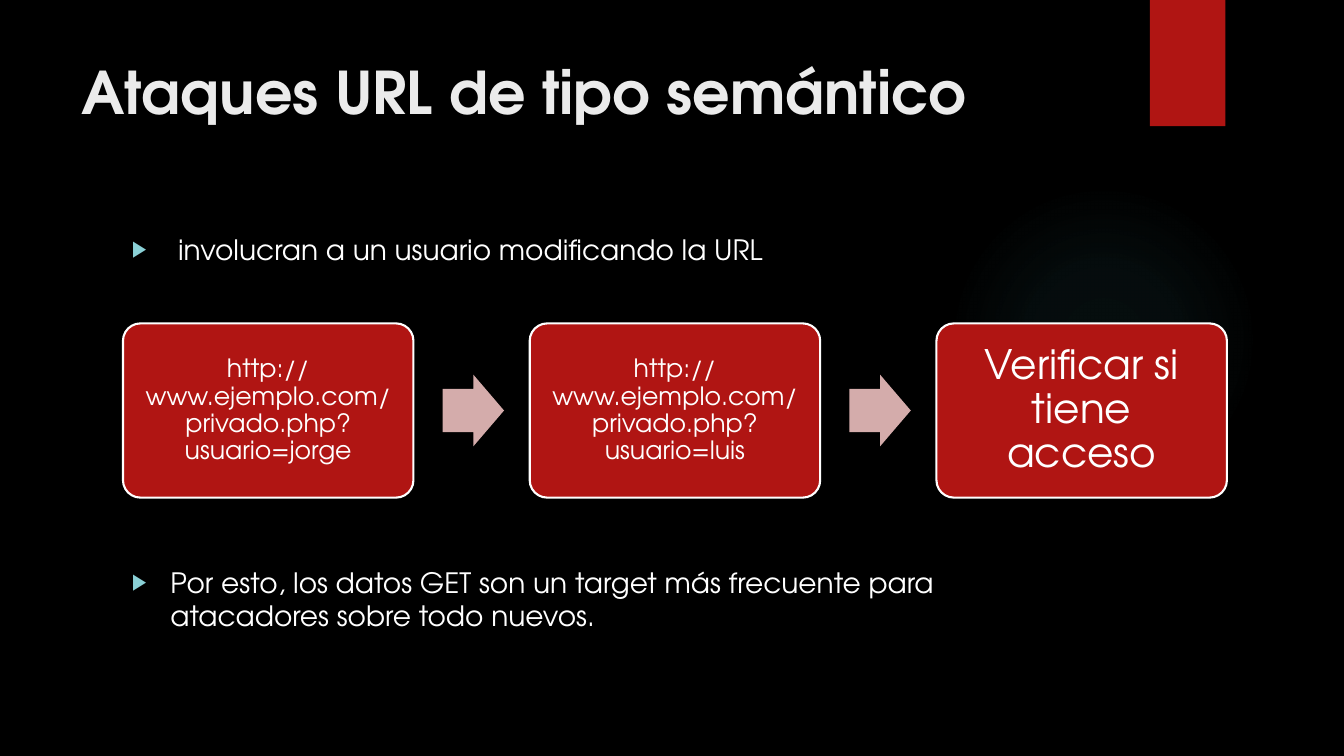
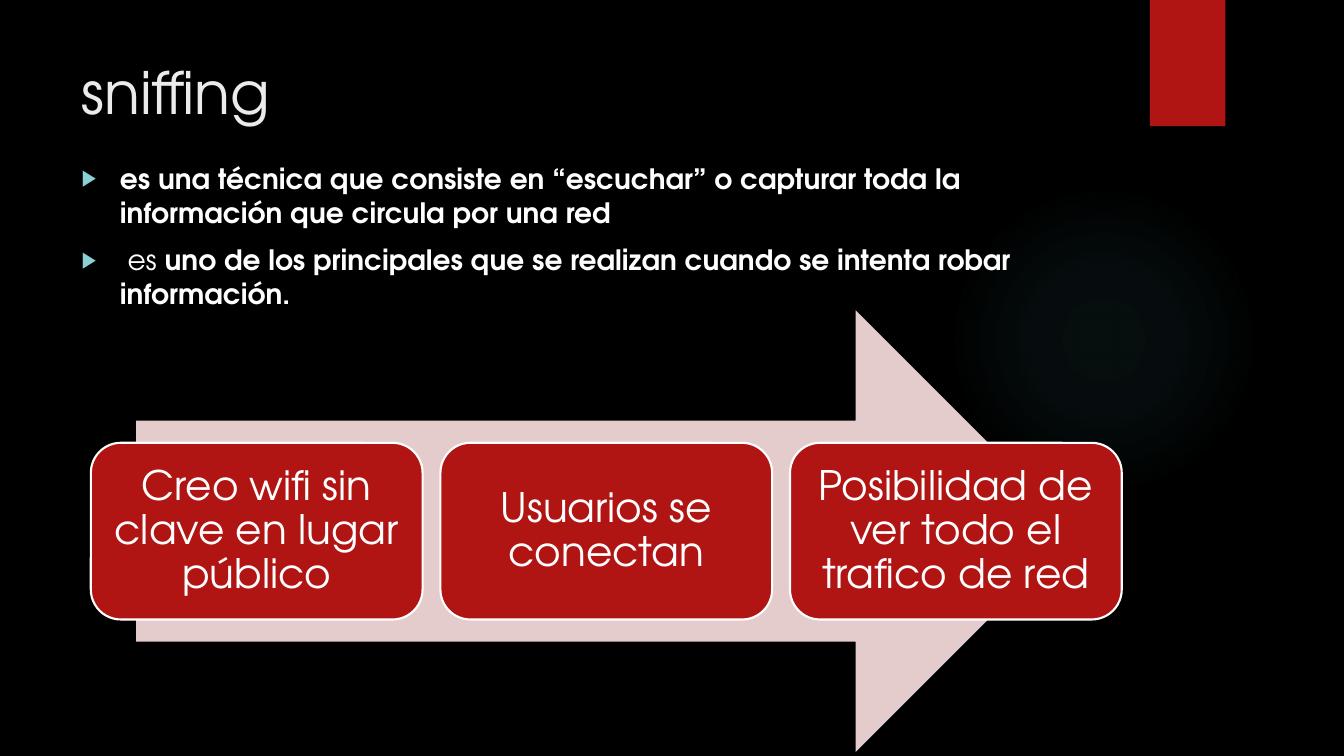
import pptx
import pptx.util
import pptx.dml.color
import pptx.enum.shapes
import pptx.enum.text
import pptx.oxml
import pptx.oxml.ns

Cm = pptx.util.Cm
Pt = pptx.util.Pt
SHAPE = pptx.enum.shapes.MSO_SHAPE
ALIGN = pptx.enum.text.PP_ALIGN
ANCHOR = pptx.enum.text.MSO_ANCHOR

COLORS = {
    "background": "000000",
    "accent": "B01513",
    "title": "EBEBEB",
    "text": "FFFFFF",
    "bullet": "8AD0D6",
    "glow": "50B9C1",
    "step_arrow": "D4ACAB",
    "big_arrow": "E4CCCC",
}
FONT = "TeX Gyre Adventor"
TITLE_BOX = (1.8, 1.27, 26.14, 3.89)
BODY_SIZE = (24.84, 11.66)
GLOW_STOPS = ((0, 7), (36, 6), (69, 0))
INDENT = Cm(0.97)


def rgb(name):
    return pptx.dml.color.RGBColor.from_string(COLORS[name])


def apply_format(target, values):
    for name, value in values.items():
        setattr(target, name, value)


def place(shape, box):
    sides = ("left", "top", "width", "height")
    apply_format(shape, {side: Cm(value) for side, value in zip(sides, box)})


def add_span(para, text, size, color="text", bold=False):
    span = para.add_run()
    span.text = text
    apply_format(span.font, {"name": FONT, "size": Pt(size), "bold": bold})
    span.font.color.rgb = rgb(color)


def add_filled(page, kind, box, color, line=None):
    shape = page.shapes.add_shape(kind, *map(Cm, box))
    shape.shadow.inherit = False
    shape.fill.solid()
    shape.fill.fore_color.rgb = rgb(color)
    if line:
        shape.line.color.rgb = rgb(line)
        shape.line.width = Pt(1.5)
    else:
        shape.line.fill.background()
    return shape


def fill_glow(shape):
    """Replace the solid fill by a faint radial gradient."""
    stops = "".join(
        f'<a:gs pos="{pos * 1000}"><a:srgbClr val="{COLORS["glow"]}">'
        f'<a:alpha val="{alpha * 1000}"/></a:srgbClr></a:gs>'
        for pos, alpha in GLOW_STOPS)
    gradient = pptx.oxml.parse_xml(
        f'<a:gradFill {pptx.oxml.ns.nsdecls("a")} rotWithShape="1">'
        f'<a:gsLst>{stops}</a:gsLst><a:path path="circle">'
        '<a:fillToRect l="50000" t="50000" r="50000" b="50000"/>'
        '</a:path></a:gradFill>')
    solid = shape.element.spPr.find(pptx.oxml.ns.qn("a:solidFill"))
    shape.element.spPr.replace(solid, gradient)


def add_decor(page):
    """Draw the glow and the ribbon behind the content."""
    fill_glow(add_filled(page, SHAPE.OVAL, (23.9, 4.65, 7.82, 7.82), "glow"))
    add_filled(page, SHAPE.RECTANGLE, (28.98, 0, 1.9, 3.18), "accent")


def add_title(page, text, bold):
    title = page.shapes.title
    place(title, TITLE_BOX)
    frame = title.text_frame
    apply_format(frame, {"vertical_anchor": ANCHOR.TOP, "word_wrap": True,
                         "auto_size": pptx.enum.text.MSO_AUTO_SIZE.NONE})
    para = frame.paragraphs[0]
    para.alignment = ALIGN.LEFT
    add_span(para, text, 42, "title", bold)


def add_bullet(para):
    props = para._p.get_or_add_pPr()
    props.set("marL", str(INDENT))
    props.set("indent", str(-INDENT))
    namespace = pptx.oxml.ns.nsdecls("a")
    for markup in (
            f'<a:buClr {namespace}><a:srgbClr val="{COLORS["bullet"]}"/></a:buClr>',
            f'<a:buSzPct {namespace} val="80000"/>',
            f'<a:buFont {namespace} typeface="Arial"/>',
            f'<a:buChar {namespace} char="▶"/>'):
        props.append(pptx.oxml.parse_xml(markup))


def add_list(page, left, top, items, gap=10):
    """Fill the body; each item is a list of (text, bold) spans."""
    body = page.placeholders[1]
    place(body, (left, top, *BODY_SIZE))
    frame = body.text_frame
    apply_format(frame, {"vertical_anchor": ANCHOR.TOP, "word_wrap": True,
                         "auto_size": pptx.enum.text.MSO_AUTO_SIZE.NONE})
    for index, spans in enumerate(items):
        para = frame.add_paragraph() if index else frame.paragraphs[0]
        apply_format(para, {"alignment": ALIGN.LEFT,
                            "space_before": Pt(gap if index else 10)})
        add_bullet(para)
        for text, bold in spans:
            add_span(para, text, 20, bold=bold)


def add_step(page, box, text, size, inset, corner):
    step = add_filled(page, SHAPE.ROUNDED_RECTANGLE, box, "accent", "text")
    step.adjustments[0] = corner
    frame = step.text_frame
    apply_format(frame, {"word_wrap": True, "vertical_anchor": ANCHOR.MIDDLE})
    apply_format(frame, {f"margin_{side}": Cm(inset)
                         for side in ("left", "top", "right", "bottom")})
    para = frame.paragraphs[0]
    apply_format(para, {"alignment": ALIGN.CENTER, "line_spacing": 0.9})
    add_span(para, text, size)


def split_row(box, count, gap):
    """Cut a box into equal columns."""
    left, top, width, height = box
    column = (width - gap * (count - 1)) / count
    return [(left + index * (column + gap), top, column, height)
            for index in range(count)]


def add_process(page, box, steps):
    """Draw steps, given as (text, size, inset), with arrows between them."""
    gap, arrow_width, arrow_height = 2.93, 1.55, 1.81
    columns = split_row(box, len(steps), gap)
    for index, (column, step) in enumerate(zip(columns, steps)):
        left, top, width, height = column
        add_step(page, column, *step, corner=0.1)
        if index < len(steps) - 1:
            arrow = add_filled(
                page, SHAPE.RIGHT_ARROW,
                (left + width + gap / 4, top + (height - arrow_height) / 2,
                 arrow_width, arrow_height), "step_arrow")
            arrow.adjustments[0] = 0.6


def add_arrow_process(page, box, texts):
    """Draw steps in a row over one wide arrow."""
    left, top, width, height = box
    margin = 1.14
    add_filled(page, SHAPE.RIGHT_ARROW,
               (left + margin, top, width - 2 * margin, height), "big_arrow")
    row = (left, top + 0.3 * height, width, 0.4 * height)
    for column, text in zip(split_row(row, len(texts), 0.45), texts):
        add_step(page, column, text, 29, 0.3, corner=0.17)


def add_page(deck, title, bold=False):
    page = deck.slides.add_slide(deck.slide_layouts[1])
    add_decor(page)
    add_title(page, title, bold)
    # Placeholders come first in a new slide, so lift them above the decor.
    for holder in list(page.placeholders):
        page.shapes.element.append(holder.element)
    return page


def build_semantic_page(deck):
    page = add_page(deck, "Ataques URL de tipo semántico", bold=True)
    add_list(page, 3.07, 5.72, [
        [(" involucran a un usuario modificando la URL", False)],
        [("Por esto, los datos GET son un target más frecuente para "
          "atacadores sobre todo nuevos.", False)],
    ], gap=214)
    address = "http://www.ejemplo.com/privado.php?usuario="
    add_process(page, (3.1, 8.15, 27.82, 4.39), [
        (address + "jorge", 18, 0.18),
        (address + "luis", 18, 0.18),
        ("Verificar si tiene acceso", 29, 0.3),
    ])


def build_sniffing_page(deck):
    page = add_page(deck, "sniffing")
    add_list(page, 1.8, 3.94, [
        [("es una técnica que consiste en “escuchar” o capturar toda la "
          "información que circula por una red", True)],
        [(" es ", False),
         ("uno de los principales que se realizan cuando se intenta robar "
          "información.", True)],
    ])
    add_arrow_process(page, (2.29, 7.82, 25.98, 11.13), [
        "Creo wifi sin clave en lugar público",
        "Usuarios se conectan",
        "Posibilidad de ver todo el trafico de red",
    ])


def main():
    deck = pptx.Presentation()
    apply_format(deck, {"slide_width": Cm(33.87), "slide_height": Cm(19.05)})
    backdrop = deck.slide_master.background.fill
    backdrop.solid()
    backdrop.fore_color.rgb = rgb("background")
    build_semantic_page(deck)
    build_sniffing_page(deck)
    deck.save("out.pptx")


if __name__ == "__main__":
    main()
